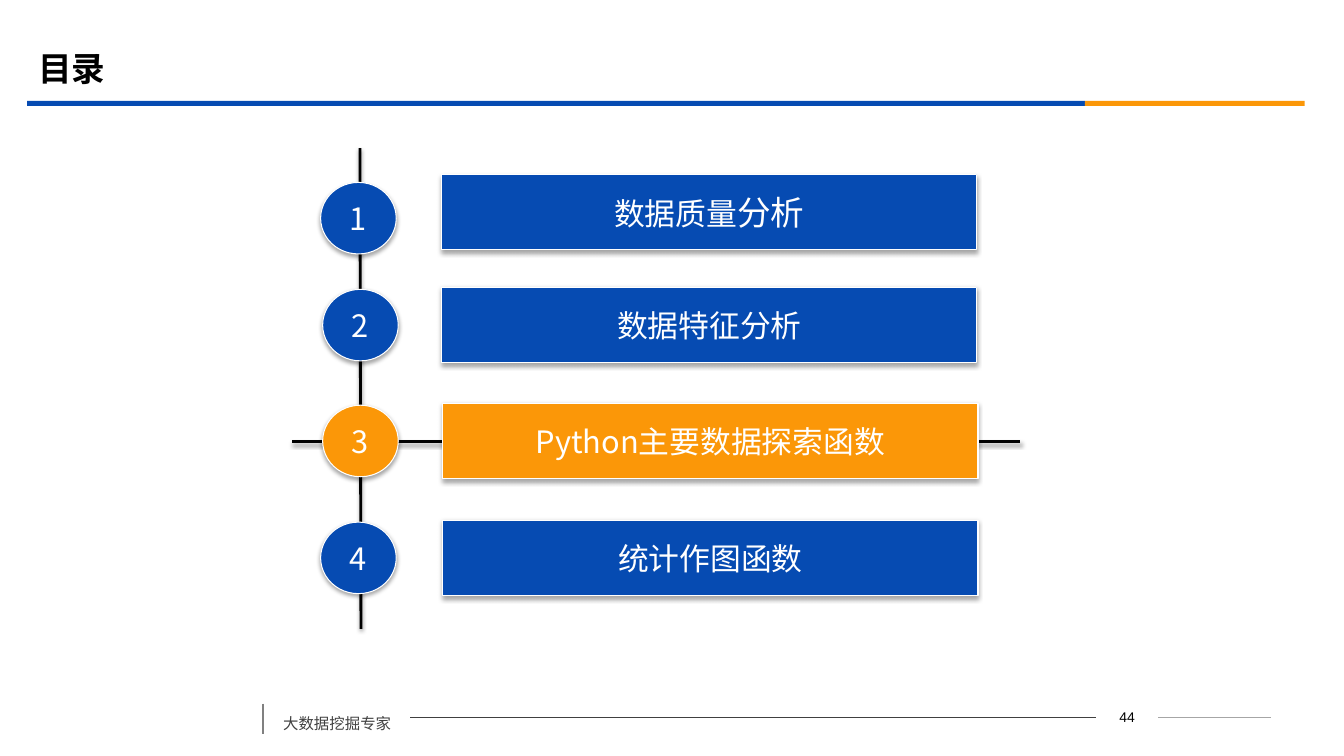
from lxml import etree
from pptx import Presentation
from pptx import util as u
from pptx.dml.color import RGBColor
from pptx.enum import shapes, text
from pptx.oxml.ns import qn

FONT = "Noto Sans CJK SC"
BLUE, ORANGE, WHITE, BLACK = "064BB2", "FB9708", "FFFFFF", "000000"
BAR_SIZE = (5.31, 0.75)
CIRCLE_SIZE = (0.75, 0.71)

# Bar position, circle position, colour, and text runs with sizes
AGENDA = [
    ((4.38, 1.73), (3.18, 1.81), BLUE, [("数据质量", 22), ("分析", 24)]),
    ((4.38, 2.85), (3.2, 2.87), BLUE, [("数据特征分析", 22)]),
    ((4.39, 4), (3.2, 4.02), ORANGE, [("Python主要数据探索函数", 22)]),
    ((4.39, 5.16), (3.18, 5.18), BLUE, [("统计作图函数", 22)]),
]


def colour(hex_string):
    return RGBColor.from_string(hex_string)


def inches(*lengths):
    return [u.Inches(length) for length in lengths]


def add_run(paragraph, words, size, hex_string, bold=False, font=FONT):
    run = paragraph.add_run()
    run.text = words
    run.font.size = u.Pt(size)
    run.font.bold = bold
    run.font.color.rgb = colour(hex_string)
    run.font.name = font
    east_asian = etree.SubElement(run.font._element, qn("a:ea"))
    east_asian.set("typeface", font)


def add_effects(shape, distance=None, opacity=None):
    """Give the shape a soft downward shadow, or none without a distance."""
    effects = etree.SubElement(shape._element.spPr, qn("a:effectLst"))
    if distance is None:
        return
    shadow = etree.SubElement(
        effects, qn("a:outerShdw"), blurRad=str(u.Pt(3.1)),
        dist=str(u.Pt(distance)), dir="5400000", rotWithShape="0")
    black = etree.SubElement(shadow, qn("a:srgbClr"), val=BLACK)
    etree.SubElement(black, qn("a:alpha"), val=str(opacity * 1000))


def add_line(slide, start, end, hex_string, width, **shadow):
    line = slide.shapes.add_connector(
        shapes.MSO_CONNECTOR.STRAIGHT, *inches(*start, *end))
    line.line.color.rgb = colour(hex_string)
    line.line.width = u.Pt(width)
    add_effects(line, **shadow)


def add_block(slide, kind, box, fill, runs):
    """Place a filled, outlined shape with a shadow and centred text."""
    shape = slide.shapes.add_shape(kind, *inches(*box))
    shape.fill.solid()
    shape.fill.fore_color.rgb = colour(fill)
    shape.line.color.rgb = colour(WHITE)
    shape.line.width = u.Pt(0.75)
    add_effects(shape, distance=1.8, opacity=35)
    frame = shape.text_frame
    frame.word_wrap = False
    frame.vertical_anchor = text.MSO_ANCHOR.MIDDLE
    paragraph = frame.paragraphs[0]
    paragraph.alignment = text.PP_ALIGN.CENTER
    for words, size in runs:
        add_run(paragraph, words, size, WHITE)


def add_header(slide, left, top, width):
    # Title
    title = slide.shapes.title
    title.left, title.top, title.width, title.height = inches(
        left + 0.01, top, 12, 0.58)
    frame = title.text_frame
    frame.vertical_anchor = text.MSO_ANCHOR.MIDDLE
    paragraph = frame.paragraphs[0]
    paragraph.alignment = text.PP_ALIGN.LEFT
    add_run(paragraph, "目录", 24, BLACK, bold=True)
    # Two-colour rule
    blue_width = 10.49
    for offset, length, fill in ((0, blue_width, BLUE),
                                 (blue_width, width - blue_width, ORANGE)):
        rule = slide.shapes.add_shape(
            shapes.MSO_SHAPE.RECTANGLE,
            *inches(left + offset, top + 0.61, length, 0.05))
        rule.shadow.inherit = False
        rule.fill.solid()
        rule.fill.fore_color.rgb = colour(fill)
        rule.line.fill.background()


def add_agenda(slide, left, top, width, height):
    # Axes behind the items
    axis, highlight = left + 0.68, top + 2.91
    add_line(slide, (axis - 0.01, top), (axis, top + height), BLACK, 2,
             distance=1.6, opacity=38)
    add_line(slide, (left, highlight), (left + width, highlight), BLACK, 2,
             distance=1.6, opacity=38)
    # Numbered circles and bars
    for number, (bar, circle, fill, runs) in enumerate(AGENDA, 1):
        add_block(slide, shapes.MSO_SHAPE.OVAL, circle + CIRCLE_SIZE, fill,
                  [(str(number), 22)])
        add_block(slide, shapes.MSO_SHAPE.ACTION_BUTTON_CUSTOM,
                  bar + BAR_SIZE, fill, runs)


def add_footer(slide, left, top):
    # Divider and rules
    middle = top + 0.14
    add_line(slide, (left, top), (left, top + 0.3), "808080", 1.25)
    add_line(slide, (left + 1.46, middle), (left + 8.26, middle), "404040", 0.75)
    add_line(slide, (left + 8.88, middle), (left + 10, middle), "A6A6A6", 0.75)
    # Slogan
    slogan = slide.shapes.add_textbox(
        *inches(left + 0.1, top - 0.04, 1.36, 0.38))
    slogan.text_frame.word_wrap = True
    paragraph = slogan.text_frame.paragraphs[0]
    paragraph.line_spacing = 1.5
    add_run(paragraph, "大数据挖掘专家", 11, "404040")
    # Page number
    page = slide.shapes.add_textbox(
        *inches(left + 8.26, top + 0.01, 0.62, 0.25))
    frame = page.text_frame
    frame.word_wrap = True
    frame.margin_top = frame.margin_bottom = 0
    frame.vertical_anchor = text.MSO_ANCHOR.MIDDLE
    paragraph = frame.paragraphs[0]
    paragraph.alignment = text.PP_ALIGN.CENTER
    add_run(paragraph, "44", 10, BLACK, font="Arial")


def main():
    presentation = Presentation()
    presentation.slide_width, presentation.slide_height = inches(13.33, 7.5)
    slide = presentation.slides.add_slide(presentation.slide_layouts[5])
    add_header(slide, 0.27, 0.39, 12.67)
    add_agenda(slide, 2.9, 1.47, 7.22, 4.77)
    add_footer(slide, 2.61, 6.98)
    presentation.save("out.pptx")


if __name__ == "__main__":
    main()
